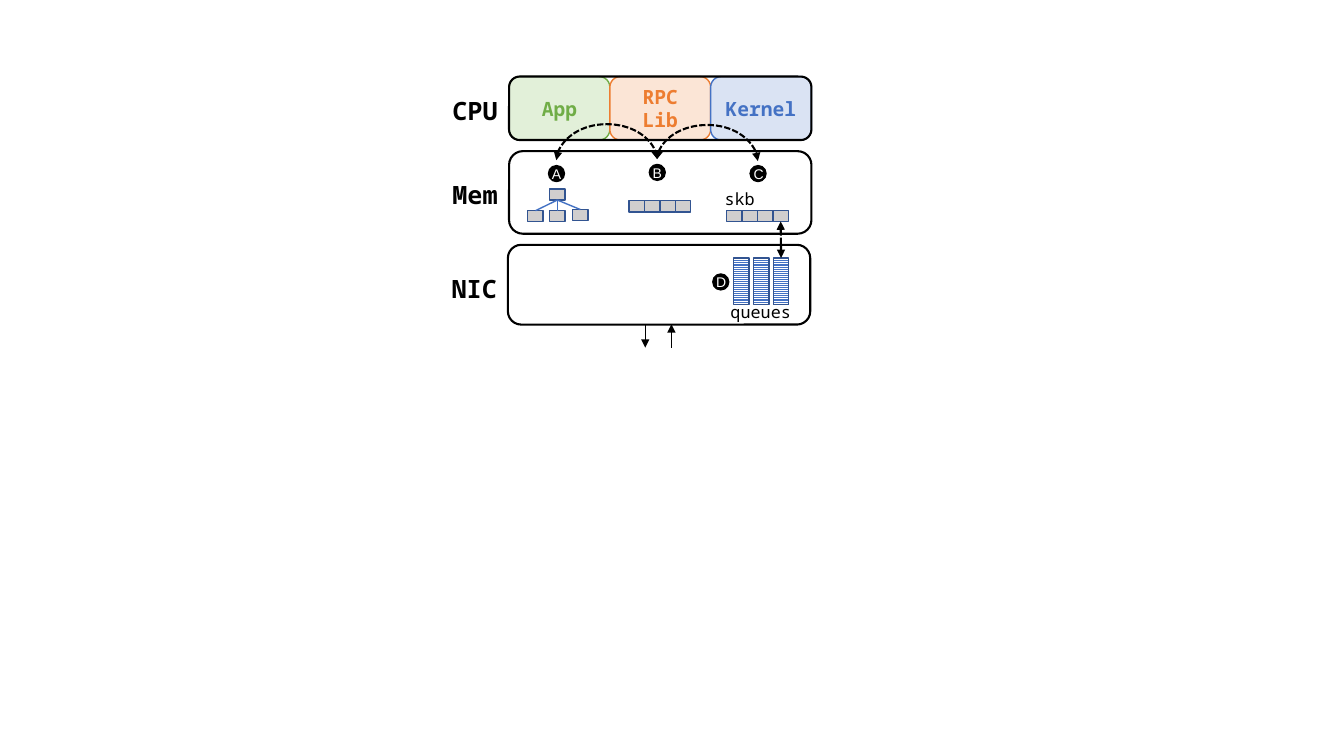
from lxml.etree import SubElement
from pptx import Presentation
from pptx.dml.color import RGBColor
from pptx.enum.dml import MSO_LINE, MSO_PATTERN
from pptx.enum.shapes import MSO_CONNECTOR, MSO_SHAPE
from pptx.enum.text import MSO_ANCHOR, MSO_AUTO_SIZE, PP_ALIGN
from pptx.oxml.ns import qn
from pptx.util import Cm, Pt

BLACK = RGBColor(0x00, 0x00, 0x00)
WHITE = RGBColor(0xFF, 0xFF, 0xFF)
GREEN, PALE_GREEN = RGBColor(0x70, 0xAD, 0x47), RGBColor(0xE2, 0xF0, 0xD9)
ORANGE, PALE_ORANGE = RGBColor(0xED, 0x7D, 0x31), RGBColor(0xFB, 0xE5, 0xD6)
BLUE, PALE_BLUE = RGBColor(0x44, 0x72, 0xC4), RGBColor(0xDA, 0xE3, 0xF3)
DARK_BLUE = RGBColor(0x32, 0x54, 0x91)
GRAY = RGBColor(0xD0, 0xCE, 0xCE)

MONO = "Noto Sans Mono"
ROW_LEFT, ROW_WIDTH = 12.83, 7.62
CPU_TOP, CPU_HEIGHT = 1.93, 1.6
PART_WIDTH = ROW_WIDTH / 3
SLOT_WIDTH, SLOT_HEIGHT = 0.39, 0.28
BADGE_SIZE = 0.41


def add_block(shapes, preset, left, top, width, height, line, points, fill=None):
    block = shapes.add_shape(preset, Cm(left), Cm(top), Cm(width), Cm(height))
    block.shadow.inherit = False
    block.line.color.rgb = line
    block.line.width = Pt(points)
    if fill is None:
        block.fill.background()
    else:
        block.fill.solid()
        block.fill.fore_color.rgb = fill
    return block


def write(paragraph, words, size, color, font=MONO, bold=False):
    run = paragraph.add_run()
    run.text = words
    run.font.name = font
    run.font.size = Pt(size)
    run.font.bold = bold
    run.font.color.rgb = color


def add_label(shapes, words, left, top, width, height, size, color=BLACK,
              font=MONO, bold=False):
    label = shapes.add_textbox(Cm(left), Cm(top), Cm(width), Cm(height))
    label.text_frame.word_wrap = False
    label.text_frame.auto_size = MSO_AUTO_SIZE.SHAPE_TO_FIT_TEXT
    write(label.text_frame.paragraphs[0], words, size, color, font, bold)


def add_part(shapes, words, left, color, fill):
    part = add_block(shapes, MSO_SHAPE.ROUNDED_RECTANGLE, left, CPU_TOP,
                     PART_WIDTH, CPU_HEIGHT, color, 1, fill)
    part.text_frame.word_wrap = True
    part.text_frame.vertical_anchor = MSO_ANCHOR.MIDDLE
    paragraph = part.text_frame.paragraphs[0]
    paragraph.alignment = PP_ALIGN.CENTER
    write(paragraph, words, 14, color, bold=True)


def add_row(shapes, left, top, height):
    add_block(shapes, MSO_SHAPE.ROUNDED_RECTANGLE, left, top, ROW_WIDTH, height,
              BLACK, 1.5)


def add_badge(shapes, letter, left, top):
    badge = shapes.add_group_shape().shapes
    add_block(badge, MSO_SHAPE.OVAL, left, top, BADGE_SIZE, BADGE_SIZE,
              BLACK, 0.75, BLACK)
    add_label(badge, letter, left - 0.16, top - 0.12, 0.74, 0.69, 10, WHITE, "Arial")


def add_slot(shapes, left, top):
    return add_block(shapes, MSO_SHAPE.RECTANGLE, left, top, SLOT_WIDTH, SLOT_HEIGHT,
                     DARK_BLUE, 1, GRAY)


def add_buffer(shapes, left, top):
    return [add_slot(shapes, left + i * SLOT_WIDTH, top) for i in range(4)]


def add_queue(shapes, left, top):
    queue = add_block(shapes, MSO_SHAPE.RECTANGLE, left, top, SLOT_WIDTH, 1.18,
                      DARK_BLUE, 1)
    queue.fill.patterned()
    queue.fill.pattern = MSO_PATTERN.LIGHT_HORIZONTAL
    queue.fill.fore_color.rgb = BLUE
    queue.fill.back_color.rgb = WHITE
    return queue


def style_line(line, color, points, dashed=False, ends=()):
    line.line.color.rgb = color
    line.line.width = Pt(points)
    if dashed:
        line.line.dash_style = MSO_LINE.SQUARE_DOT
    for end in ends:
        SubElement(line.line._ln, qn(f"a:{end}")).set("type", "triangle")
    SubElement(line._element.spPr, qn("a:effectLst"))


def add_straight(shapes, x1, y1, x2, y2):
    return shapes.add_connector(MSO_CONNECTOR.STRAIGHT, Cm(x1), Cm(y1), Cm(x2), Cm(y2))


def join_down(shapes, upper, lower):
    line = add_straight(shapes, 0, 0, 1, 1)
    line.begin_connect(upper, 2)
    line.end_connect(lower, 0)
    return line


def add_arc(shapes, x1, y1, x2, y2, peak):
    """Curved arrow from left to right, bulging up to the height of peak."""
    drop, span = abs(y2 - y1), x2 - x1
    left, top = (x1 + x2 - drop) / 2, (y1 + y2 - span) / 2
    arc = shapes.add_connector(MSO_CONNECTOR.CURVE, Cm(left), Cm(top),
                               Cm(left + drop), Cm(top + span))
    rising = y1 > y2
    frame = arc._element.spPr.find(qn("a:xfrm"))
    frame.set("rot", str((90 if rising else 270) * 60000))
    frame.set("flipH", "1")
    if rising:
        frame.set("flipV", "1")
    bulge = (y1 - peak) / drop * (1 if rising else -1)
    guides = arc._element.spPr.find(qn("a:prstGeom")).find(qn("a:avLst"))
    guide = SubElement(guides, qn("a:gd"))
    guide.set("name", "adj1")
    guide.set("fmla", f"val {round(bulge * 100000)}")
    style_line(arc, BLACK, 1.5, True, ("headEnd", "tailEnd"))


def main():
    deck = Presentation()
    deck.slide_width, deck.slide_height = Cm(33.87), Cm(19.05)
    shapes = deck.slides.add_slide(deck.slide_layouts[6]).shapes

    # Row names
    for name, left, top in (("CPU", 11.15, 2.29), ("Mem", 11.15, 4.39),
                            ("NIC", 11.13, 6.76)):
        add_label(shapes, name, left, top, 1.65, 1.02, 18, bold=True)

    # CPU, memory and NIC rows
    parts = (("App", GREEN, PALE_GREEN), ("RPC Lib", ORANGE, PALE_ORANGE),
             ("Kernel", BLUE, PALE_BLUE))
    for i, (words, color, fill) in enumerate(parts):
        add_part(shapes, words, ROW_LEFT + i * PART_WIDTH, color, fill)
    add_row(shapes, ROW_LEFT, CPU_TOP, CPU_HEIGHT)
    add_row(shapes, ROW_LEFT, 3.81, 2.08)
    add_row(shapes, 12.8, 6.17, 2.01)

    # Lettered badges
    for letter, left, top in (("A", 13.82, 4.17), ("B", 16.36, 4.14),
                              ("C", 18.9, 4.17), ("D", 17.96, 6.9)):
        add_badge(shapes, letter, left, top)

    # Application object tree
    root = add_slot(shapes, 13.85, 4.76)
    for left, top in ((13.3, 5.31), (13.85, 5.31), (14.43, 5.28)):
        leaf = add_slot(shapes, left, top)
        style_line(join_down(shapes, root, leaf), BLUE, 1)

    # RPC buffer, kernel buffer and NIC queues
    add_buffer(shapes, 15.85, 5.06)
    skb = add_buffer(shapes, 18.31, 5.3)
    add_label(shapes, "skb", 18.01, 4.62, 1.3, 0.76, 12)
    queues = [add_queue(shapes, 18.49 + i * 0.5, 6.5) for i in range(3)]
    add_label(shapes, "queues", 18.16, 7.47, 2.06, 0.76, 12)
    style_line(join_down(shapes, skb[-1], queues[-1]), BLACK, 1.5, True,
               ("headEnd", "tailEnd"))

    # Copies between the memory areas
    add_arc(shapes, 14.02, 4.04, 16.56, 4.01, 3.13)
    add_arc(shapes, 16.56, 4.01, 19.1, 4.06, 3.15)

    # Network traffic out and in
    traffic = shapes.add_group_shape().shapes
    for x, end in ((16.26, "tailEnd"), (16.92, "headEnd")):
        style_line(add_straight(traffic, x, 8.17, x, 8.76), BLACK, 1, ends=(end,))

    deck.save("out.pptx")


if __name__ == "__main__":
    main()
